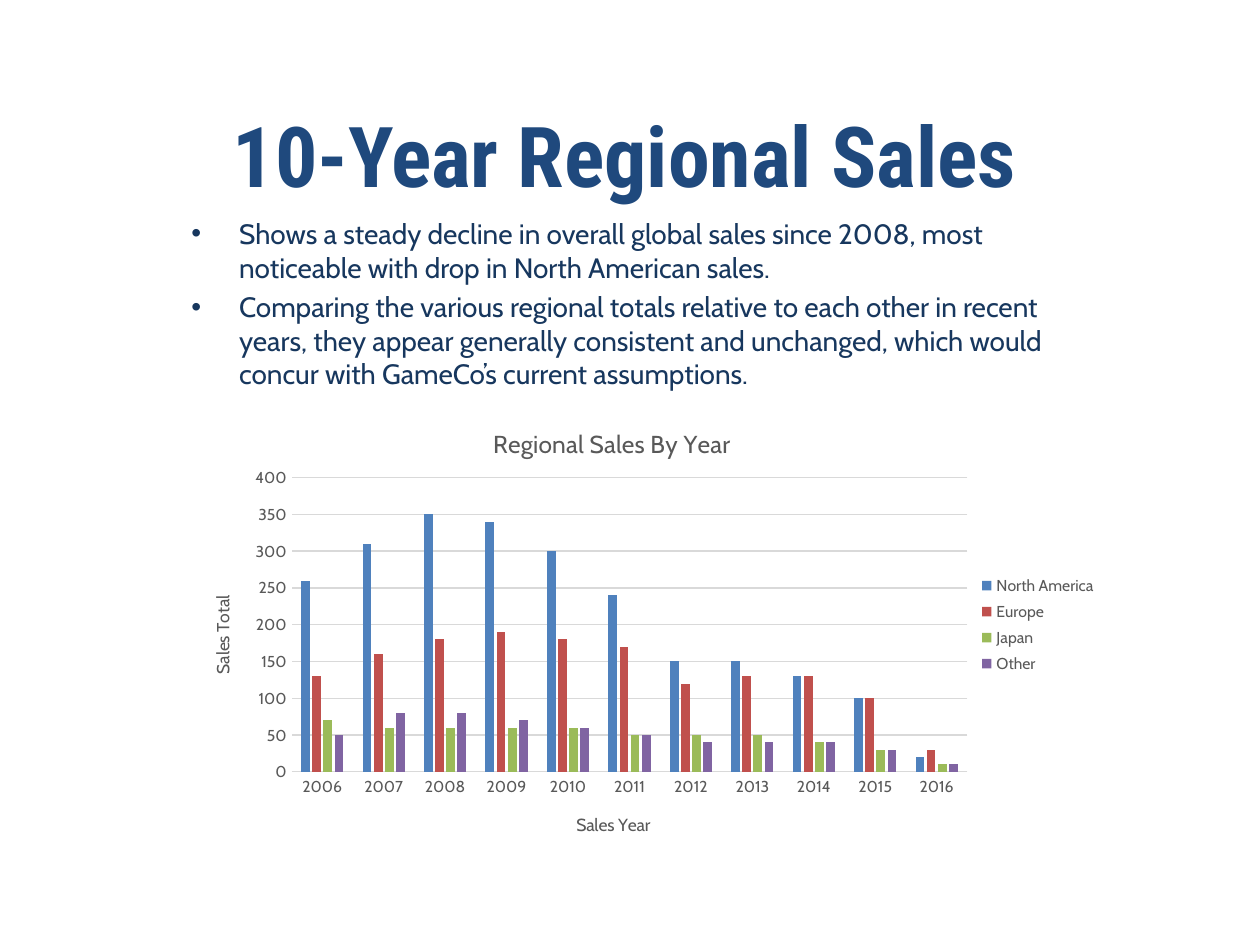
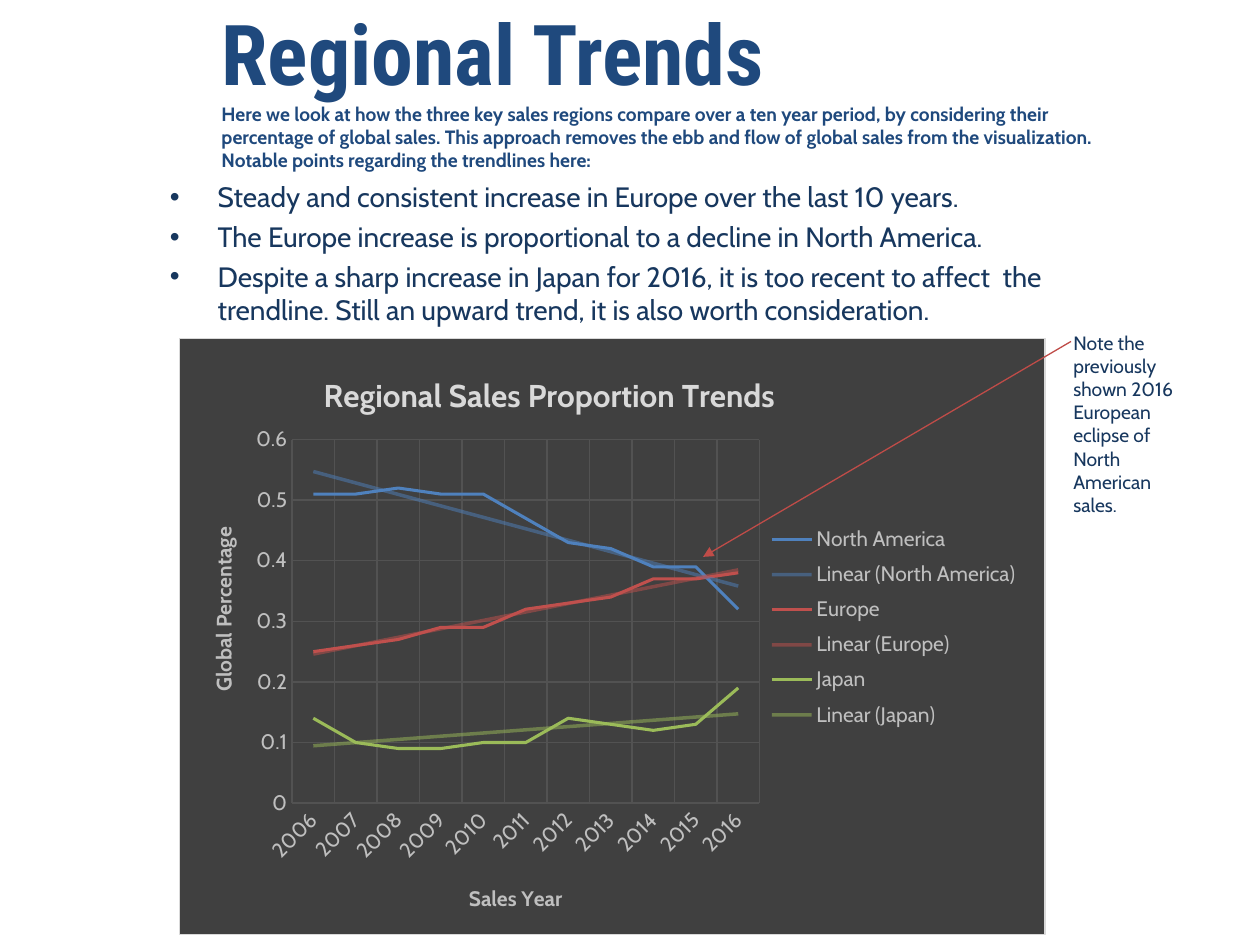
from lxml.etree import SubElement
from pptx import Presentation
from pptx.chart.data import CategoryChartData
from pptx.dml.color import RGBColor
from pptx.enum.chart import XL_CHART_TYPE, XL_LEGEND_POSITION, XL_MARKER_STYLE, XL_TICK_MARK
from pptx.enum.shapes import MSO_CONNECTOR
from pptx.enum.text import MSO_ANCHOR
from pptx.oxml import parse_xml
from pptx.oxml.ns import nsdecls, qn
from pptx.util import Inches, Pt

NAVY = RGBColor(0x1F, 0x49, 0x7D)
INK = RGBColor(0x17, 0x37, 0x5E)
GRAY = RGBColor(0x59, 0x59, 0x59)
SILVER = RGBColor(0xBF, 0xBF, 0xBF)
PALE = RGBColor(0xD9, 0xD9, 0xD9)
CHARCOAL = RGBColor(0x40, 0x40, 0x40)
DARK_GRID = RGBColor(0x52, 0x52, 0x52)
ARROW_RED = RGBColor(0xBF, 0x4C, 0x48)
BLUE = RGBColor(0x4F, 0x81, 0xBD)
RED = RGBColor(0xC0, 0x50, 0x4D)
GREEN = RGBColor(0x9B, 0xBB, 0x59)
PURPLE = RGBColor(0x80, 0x64, 0xA2)
REGION_COLORS = (BLUE, RED, GREEN, PURPLE)
HEAD_FONT = "Roboto Condensed"
BODY_FONT = "Cabin"
YEARS = [str(year) for year in range(2006, 2017)]

SALES = {
    "North America": (260, 310, 350, 340, 300, 240, 150, 150, 130, 100, 20),
    "Europe": (130, 160, 180, 190, 180, 170, 120, 130, 130, 100, 30),
    "Japan": (70, 60, 60, 60, 60, 50, 50, 50, 40, 30, 10),
    "Other": (50, 80, 80, 70, 60, 50, 40, 40, 40, 30, 10),
}
SHARES = {
    "North America": (0.51, 0.51, 0.52, 0.51, 0.51, 0.47, 0.43, 0.42, 0.39, 0.39, 0.32),
    "Europe": (0.25, 0.26, 0.27, 0.29, 0.29, 0.32, 0.33, 0.34, 0.37, 0.37, 0.38),
    "Japan": (0.14, 0.1, 0.09, 0.09, 0.1, 0.1, 0.14, 0.13, 0.12, 0.13, 0.19),
}


def write(p, text, size=16, color=INK, font=BODY_FONT, bold=False):
    """Add a formatted run to a paragraph."""
    r = p.add_run()
    r.text = text
    r.font.size = Pt(size)
    r.font.name = font
    r.font.bold = bold
    r.font.color.rgb = color


def place(element, x, y, w=None, h=None, inner=False):
    """Give a chart part a manual layout in fractions of the chart."""
    for old in element.findall(qn("c:layout")):
        element.remove(old)
    layout = parse_xml(f"<c:layout {nsdecls('c')}><c:manualLayout/></c:layout>")
    manual = layout[0]
    values = {"layoutTarget": "inner" if inner else None, "xMode": "edge",
              "yMode": "edge", "x": x, "y": y, "w": w, "h": h}
    for tag, value in values.items():
        if value is not None:
            SubElement(manual, qn(f"c:{tag}")).set("val", str(value))
    anchor = element.find(qn("c:tx"))
    if anchor is None:
        anchor = element.find(qn("c:legendPos"))
    if anchor is None:
        element.insert(0, layout)
    else:
        anchor.addnext(layout)


class Deck:
    """Hold the shared style and the current slide."""

    def __init__(self):
        """Start an empty 4:3 presentation."""
        self.prs = Presentation()
        self.prs.slide_width, self.prs.slide_height = Inches(10), Inches(7.5)
        self.s = None

    def new_slide(self):
        """Add a blank slide and make it current."""
        self.s = self.prs.slides.add_slide(self.prs.slide_layouts[6])

    def text_box(self, x, y, w, h):
        """Add a wrapping text box and return its text frame."""
        tf = self.s.shapes.add_textbox(Inches(x), Inches(y), Inches(w), Inches(h)).text_frame
        tf.word_wrap = True
        return tf

    def title(self, box, text, intro=None):
        """Add a bottom-anchored title with an optional introduction."""
        tf = self.text_box(*box)
        tf.vertical_anchor = MSO_ANCHOR.BOTTOM
        p = tf.paragraphs[0]
        write(p, text, size=48, color=NAVY, font=HEAD_FONT, bold=True)
        if intro:
            p.add_line_break()
            write(p, intro, size=11, color=NAVY, bold=True)

    def bullets(self, box, items):
        """Add a bulleted list."""
        tf = self.text_box(*box)
        for i, item in enumerate(items):
            p = tf.add_paragraph() if i else tf.paragraphs[0]
            p.space_before = Pt(3.5)
            pPr = p._p.get_or_add_pPr()
            pPr.set("marL", str(Inches(0.38)))
            pPr.set("indent", str(-Inches(0.38)))
            SubElement(pPr, qn("a:buFont")).set("typeface", "Arial")
            SubElement(pPr, qn("a:buChar")).set("char", "•")
            write(p, item)

    def note(self, box, text):
        """Add a small side note."""
        write(self.text_box(*box).paragraphs[0], text, size=11)

    def arrow(self, start, end):
        """Add a thin arrow between two points."""
        line = self.s.shapes.add_connector(
            MSO_CONNECTOR.STRAIGHT, *(Inches(v) for v in start + end))
        line.line.color.rgb = ARROW_RED
        line.line.width = Pt(0.75)
        SubElement(line.line._get_or_add_ln(), qn("a:tailEnd")).set("type", "triangle")
        SubElement(line._element.spPr, qn("a:effectLst"))

    def chart(self, kind, box, data, title, layouts, size, color, grid):
        """Add a chart by year with a title and a legend at the right."""
        chart_data = CategoryChartData()
        chart_data.categories = YEARS
        for name, values in data.items():
            chart_data.add_series(name, values)
        chart = self.s.shapes.add_chart(
            kind, *(Inches(v) for v in box), chart_data).chart
        chart.font.name, chart.font.size = BODY_FONT, Pt(10)
        chart.has_title = True
        write(chart.chart_title.text_frame.paragraphs[0], **title)
        place(chart.chart_title._element, *layouts["title"])
        chart.has_legend = True
        legend = chart.legend
        legend.position = XL_LEGEND_POSITION.RIGHT
        legend.include_in_layout = False
        legend.font.name, legend.font.size = BODY_FONT, Pt(size)
        legend.font.color.rgb = color
        place(legend._element, *layouts["legend"])
        place(chart._chartSpace.chart.plotArea, *layouts["plot"], inner=True)
        chart.plots[0].vary_by_categories = False
        for axis in (chart.category_axis, chart.value_axis):
            axis.major_tick_mark = axis.minor_tick_mark = XL_TICK_MARK.NONE
            axis.tick_labels.font.name = BODY_FONT
            axis.tick_labels.font.size = Pt(size)
            axis.tick_labels.font.color.rgb = color
            axis.format.line.fill.background()
        self.gridlines(chart.value_axis, grid)
        return chart

    def gridlines(self, axis, color):
        """Show thin major gridlines on an axis."""
        axis.has_major_gridlines = True
        line = axis.major_gridlines.format.line
        line.color.rgb, line.width = color, Pt(0.75)

    def axis_title(self, axis, text, position, rotation=0, **style):
        """Add a title at a set position beside an axis."""
        tf = axis.axis_title.text_frame
        write(tf.paragraphs[0], text, **style)
        tf._txBody.bodyPr.set("rot", str(rotation * 60000))
        tf._txBody.bodyPr.set("vert", "horz")
        place(axis.axis_title._element, *position)

    def axes(self, chart, value_title, top, step, layouts, **style):
        """Scale the value axis and title both axes."""
        chart.value_axis.minimum_scale = 0
        chart.value_axis.maximum_scale = top
        chart.value_axis.major_unit = step
        chart.value_axis.tick_labels.number_format = "General"
        chart.value_axis.tick_labels.number_format_is_linked = False
        self.axis_title(chart.category_axis, "Sales Year", layouts["x_title"], **style)
        self.axis_title(chart.value_axis, value_title, layouts["y_title"], rotation=-90, **style)

    def columns(self, box, data, title, value_title, layouts):
        """Add the clustered column chart."""
        chart = self.chart(XL_CHART_TYPE.COLUMN_CLUSTERED, box, data,
                           dict(text=title, size=14, color=GRAY), layouts, 9, GRAY, PALE)
        self.axes(chart, value_title, 400, 50, layouts, size=10, color=GRAY)
        line = chart.category_axis.format.line
        line.color.rgb, line.width = PALE, Pt(0.75)
        plot = chart.plots[0]
        plot.gap_width, plot.overlap = 219, -27
        for series, color in zip(plot.series, REGION_COLORS):
            series.format.fill.solid()
            series.format.fill.fore_color.rgb = color

    def trends(self, box, data, title, value_title, layouts):
        """Add the dark line chart with linear trend lines."""
        chart = self.chart(XL_CHART_TYPE.LINE, box, data,
                           dict(text=title, size=18, color=PALE, bold=True),
                           layouts, 12, SILVER, DARK_GRID)
        self.axes(chart, value_title, 0.6, 0.1, layouts, size=12, color=SILVER, bold=True)
        self.gridlines(chart.category_axis, DARK_GRID)
        labels = chart.category_axis._element.find(qn("c:txPr"))
        labels.find(qn("a:bodyPr")).set("rot", str(-45 * 60000))
        chart._chartSpace.find(qn("c:txPr")).addprevious(parse_xml(
            f'<c:spPr {nsdecls("c", "a")}>'
            f'<a:solidFill><a:srgbClr val="{CHARCOAL}"/></a:solidFill>'
            f'<a:ln w="{Pt(0.75)}"><a:solidFill><a:srgbClr val="{PALE}"/></a:solidFill></a:ln>'
            '</c:spPr>'))
        for series, color in zip(chart.plots[0].series, REGION_COLORS):
            series.smooth = False
            series.marker.style = XL_MARKER_STYLE.NONE
            series.format.line.color.rgb = color
            series.format.line.width = Pt(1.75)
            series._element.find(qn("c:cat")).addprevious(parse_xml(
                f'<c:trendline {nsdecls("c", "a")}><c:spPr><a:ln w="{Pt(2)}"><a:solidFill>'
                f'<a:srgbClr val="{color}"><a:alpha val="50000"/></a:srgbClr>'
                '</a:solidFill></a:ln></c:spPr><c:trendlineType val="linear"/>'
                '<c:dispRSqr val="0"/><c:dispEq val="0"/></c:trendline>'))


def main():
    """Build both slides and save the presentation."""
    deck = Deck()
    deck.new_slide()
    deck.title((1.75, 0.42, 7.5, 1.25), "10-Year Regional Sales")
    deck.bullets((1.42, 1.67, 7.5, 1.64), (
        "Shows a steady decline in overall global sales since 2008, most noticeable "
        "with drop in North American sales.",
        "Comparing the various regional totals relative to each other in recent years, "
        "they appear generally consistent and unchanged, which would concur with "
        "GameCo’s current assumptions."))
    deck.columns((1.42, 3.17, 7.45, 3.65), SALES, "Regional Sales By Year", "Sales Total", {
        "title": (0.33, 0.05), "legend": (0.85, 0.37, 0.13, 0.24),
        "plot": (0.12, 0.17, 0.72, 0.64), "x_title": (0.42, 0.89), "y_title": (0.03, 0.42)})

    deck.new_slide()
    deck.title(
        (1.66, 0.08, 7.17, 1.33), "Regional Trends",
        "Here we look at how the three key sales regions compare over a ten year period, "
        "by considering their percentage of global sales. This approach removes the ebb "
        "and flow of global sales from the visualization. Notable points regarding the "
        "trendlines here:")
    deck.bullets((1.25, 1.38, 7.5, 1.3), (
        "Steady and consistent increase in Europe over the last 10 years.",
        "The Europe increase is proportional to a decline in North America.",
        "Despite a sharp increase in Japan for 2016, it is too recent to affect  the "
        "trendline. Still an upward trend, it is also worth consideration."))
    deck.trends((1.42, 2.68, 6.88, 4.74), SHARES, "Regional Sales Proportion Trends",
                "Global Percentage", {
        "title": (0.16, 0.05), "legend": (0.68, 0.3, 0.29, 0.37),
        "plot": (0.13, 0.17, 0.54, 0.61), "x_title": (0.33, 0.91), "y_title": (0.03, 0.31)})
    deck.note((8.42, 2.58, 1.08, 1.58),
              "Note the previously shown 2016 European eclipse of North American sales.")
    deck.arrow((8.5, 2.71), (5.58, 4.42))
    deck.prs.save("out.pptx")


if __name__ == "__main__":
    main()
